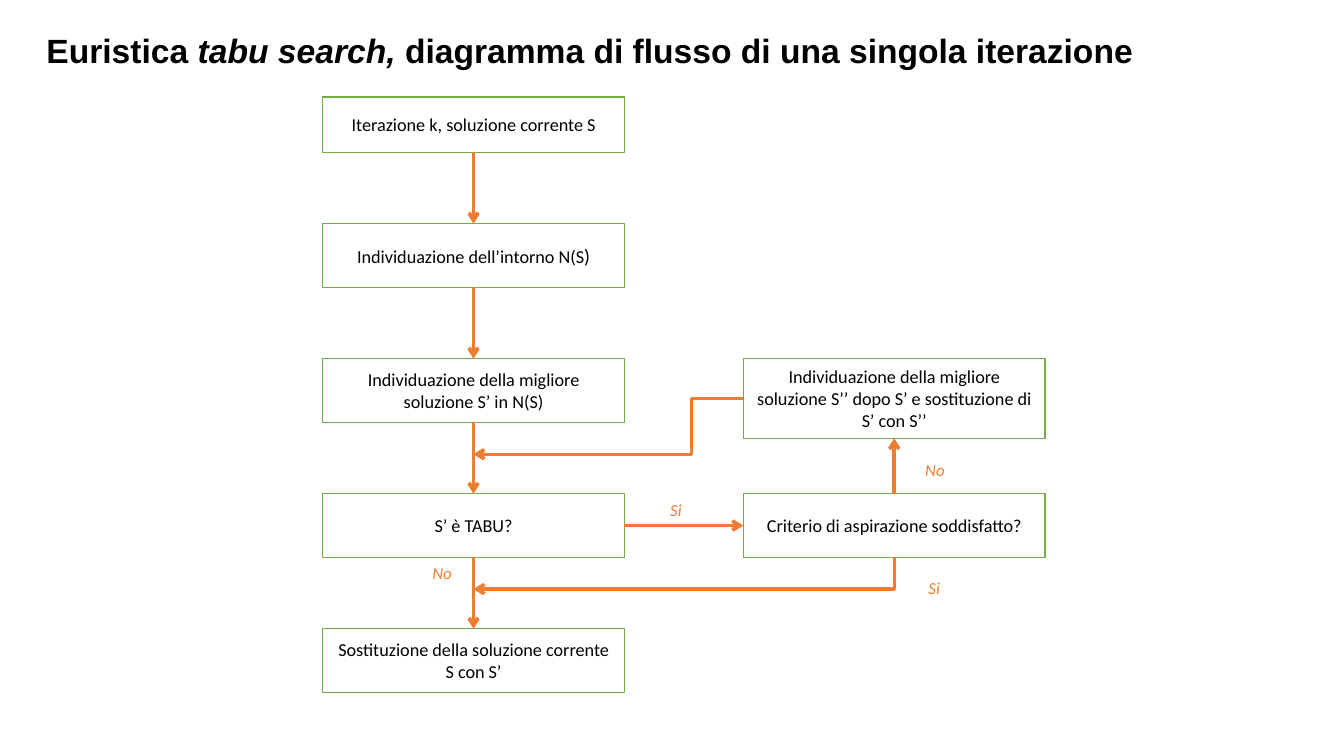
from lxml import etree
from pptx import Presentation
from pptx.dml.color import RGBColor
from pptx.enum.shapes import MSO_CONNECTOR, MSO_SHAPE
from pptx.enum.text import MSO_ANCHOR, MSO_AUTO_SIZE, PP_ALIGN
from pptx.oxml.ns import qn
from pptx.util import Pt

STRAIGHT, ELBOW = MSO_CONNECTOR.STRAIGHT, MSO_CONNECTOR.ELBOW
RECTANGLE = MSO_SHAPE.RECTANGLE
MIDDLE = MSO_ANCHOR.MIDDLE
LEFT, CENTER = PP_ALIGN.LEFT, PP_ALIGN.CENTER
NO_AUTOFIT = MSO_AUTO_SIZE.NONE

GREEN, ORANGE, BLACK, WHITE = "70AD47", "ED7D31", "000000", "FFFFFF"
color = RGBColor.from_string

presentation = Presentation()
presentation.slide_width, presentation.slide_height = Pt(960), Pt(540)
slide = presentation.slides.add_slide(presentation.slide_layouts[5])


def write_centered(shape, pieces, text_color, italic=False):
    """Write one centred paragraph from (text, size) pieces."""
    text_frame = shape.text_frame
    text_frame.word_wrap = True
    text_frame.vertical_anchor = MIDDLE
    paragraph = text_frame.paragraphs[0]
    paragraph.alignment = CENTER
    for text, size in pieces:
        run = paragraph.add_run()
        run.text = text
        run.font.name, run.font.size, run.font.italic = "Calibri", Pt(size), italic
        run.font.color.rgb = color(text_color)


def add_arrow(kind, start, end, arrow_tag="a:tailEnd"):
    """Draw an orange connector; a:tailEnd puts the arrowhead at its end, a:headEnd at its start."""
    connector = slide.shapes.add_connector(kind, *map(Pt, start + end))
    connector.line.color.rgb = color(ORANGE)
    connector.line.width = Pt(2.5)
    etree.SubElement(connector.line._get_or_add_ln(), qn(arrow_tag), type="arrow")
    etree.SubElement(connector._element.spPr, qn("a:effectLst"))
    return connector


# Title
title = slide.shapes.title
title.left, title.top, title.width, title.height = Pt(26), Pt(19), Pt(915), Pt(34)
title.text_frame.auto_size = NO_AUTOFIT
title.text_frame.vertical_anchor = MIDDLE
title_paragraph = title.text_frame.paragraphs[0]
title_paragraph.alignment = LEFT
for text, italic in [
    ("Euristica ", False),
    ("tabu search, ", True),
    ("diagramma di flusso di una singola iterazione", False),
]:
    run = title_paragraph.add_run()
    run.text = text
    run.font.name, run.font.size = "Arial", Pt(24)
    run.font.bold, run.font.italic = True, italic
    run.font.color.rgb = color(BLACK)

# Steps: two columns on a regular row pitch
BOX_WIDTH, BOX_HEIGHT = 215.5, 45.4
MAIN_LEFT, SIDE_LEFT = 230.5, 531
START_TOP, START_HEIGHT, NEXT_BEST_HEIGHT = 69.4, 39.4, 56.8
ROW_TOP, ROW_PITCH = 159.8, 96.45
MAIN_CENTER, SIDE_CENTER = MAIN_LEFT + BOX_WIDTH / 2, SIDE_LEFT + BOX_WIDTH / 2
row_tops = [ROW_TOP + row * ROW_PITCH for row in range(4)]
row_bottoms = [top + BOX_HEIGHT for top in row_tops]

for pieces, left, top, height in [
    ([("Iterazione k, soluzione corrente S", 13)], MAIN_LEFT, START_TOP, START_HEIGHT),
    ([("Individuazione dell’intorno N(S", 13), (")", 14)], MAIN_LEFT, row_tops[0], BOX_HEIGHT),
    ([("Individuazione della migliore soluzione S’ in N(S)", 13)], MAIN_LEFT, row_tops[1], BOX_HEIGHT),
    ([("S’ è TABU?", 13)], MAIN_LEFT, row_tops[2], BOX_HEIGHT),
    ([("Sostituzione della soluzione corrente S con S’", 13)], MAIN_LEFT, row_tops[3], BOX_HEIGHT),
    ([("Criterio di aspirazione soddisfatto?", 13)], SIDE_LEFT, row_tops[2], BOX_HEIGHT),
    ([("Individuazione della migliore soluzione S’’ dopo S’ e sostituzione di S’ con S’’", 13)],
     SIDE_LEFT, row_tops[1], NEXT_BEST_HEIGHT),
]:
    step = slide.shapes.add_shape(RECTANGLE, Pt(left), Pt(top), Pt(BOX_WIDTH), Pt(height))
    step.shadow.inherit = False
    step.fill.solid()
    step.fill.fore_color.rgb = color(WHITE)
    step.line.color.rgb = color(GREEN)
    step.line.width = Pt(1)
    write_centered(step, pieces, BLACK)

# Straight arrows: down the main column, across to the criterion, up to the next best
for bottom, next_top in zip([START_TOP + START_HEIGHT] + row_bottoms, row_tops):
    add_arrow(STRAIGHT, (MAIN_CENTER, bottom), (MAIN_CENTER, next_top))
tabu_middle = row_tops[2] + BOX_HEIGHT / 2
add_arrow(STRAIGHT, (MAIN_LEFT + BOX_WIDTH, tabu_middle), (SIDE_LEFT, tabu_middle))
next_best_bottom = row_tops[1] + NEXT_BEST_HEIGHT
add_arrow(STRAIGHT, (SIDE_CENTER, row_tops[2]), (SIDE_CENTER, next_best_bottom))

# Bent arrows that rejoin the main column
next_best_middle = row_tops[1] + NEXT_BEST_HEIGHT / 2
retry_arrow = add_arrow(ELBOW, (SIDE_LEFT, next_best_middle), (MAIN_CENTER, 324.5))
adjustments = retry_arrow._element.spPr.find(qn("a:prstGeom")).find(qn("a:avLst"))
etree.SubElement(adjustments, qn("a:gd"), name="adj1", fmla="val 19200")

accept_arrow = add_arrow(ELBOW, (MAIN_CENTER, 420.8), (SIDE_CENTER, row_bottoms[2]), "a:headEnd")
accept_arrow._element.spPr.find(qn("a:prstGeom")).set("prst", "bentConnector2")

# Branch labels
for text, left, top in [
    ("Si", 463, 353),
    ("Si", 647.5, 408.5),
    ("No", 296, 397.7),
    ("No", 648, 324.2),
]:
    label = slide.shapes.add_textbox(Pt(left), Pt(top), Pt(39.6), Pt(22.6))
    write_centered(label, [(text, 12)], ORANGE, italic=True)

presentation.save("out.pptx")
